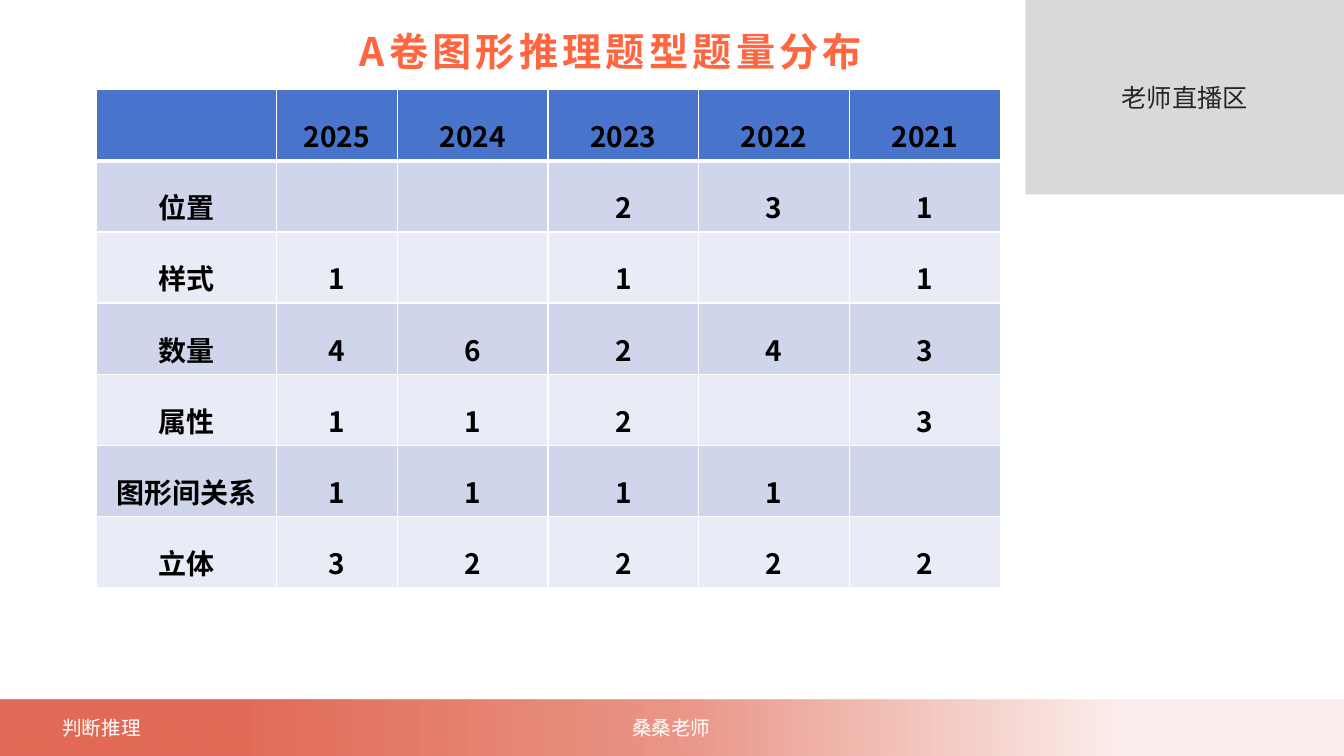
import pptx
import pptx.util
import pptx.dml.color
import pptx.enum.shapes
import pptx.enum.text
import pptx.oxml
import pptx.oxml.ns

Inches = pptx.util.Inches
Color = pptx.dml.color.RGBColor
Align = pptx.enum.text.PP_ALIGN
Anchor = pptx.enum.text.MSO_ANCHOR

FONT = "Noto Sans CJK SC"
NAMESPACE = pptx.oxml.ns.nsdecls("a")
ORANGE = Color(0xFF, 0x65, 0x3F)
CORAL = Color(0xDC, 0x50, 0x37)
GREY = Color(0xD9, 0xD9, 0xD9)
DARK = Color(0x26, 0x26, 0x26)
WHITE = Color(0xFF, 0xFF, 0xFF)
BLACK = Color(0, 0, 0)
HEADER_BLUE = Color(0x48, 0x74, 0xCB)
BAND_DARK = Color(0xCF, 0xD6, 0xEC)
BAND_LIGHT = Color(0xE9, 0xEB, 0xF6)


def write(frame, text, size, color, bold=False, align=Align.LEFT, line_spacing=None, letter_spacing=0):
    para = frame.paragraphs[0]
    para.alignment = align
    if line_spacing:
        para.line_spacing = line_spacing
    span = para.add_run()
    span.text = text
    span.font.size = pptx.util.Pt(size)
    span.font.bold = bold
    span.font.color.rgb = color
    span.font.name = FONT
    properties = span.font._element
    if letter_spacing:
        properties.set("spc", str(letter_spacing * 100))
    latin = properties.find(pptx.oxml.ns.qn("a:latin"))
    latin.addnext(pptx.oxml.parse_xml(f'<a:ea {NAMESPACE} typeface="{FONT}"/>'))


def set_borders(cell, **points):
    properties = cell._tc.get_or_add_tcPr()
    for index, (side, width) in enumerate(points.items()):
        properties.insert(index, pptx.oxml.parse_xml(
            f'<a:ln{side} {NAMESPACE} w="{pptx.util.Pt(width)}"><a:solidFill>'
            f'<a:srgbClr val="{WHITE}"/></a:solidFill></a:ln{side}>'))


deck = pptx.Presentation()
deck.slide_width, deck.slide_height = Inches(13.33), Inches(7.5)
page = deck.slides.add_slide(deck.slide_layouts[5])

# Live video area and footer band
panels = []
for left, top, width, height in [(10.17, 0, 3.16, 1.93), (0, 6.94, 13.33, 0.57)]:
    panel = page.shapes.add_shape(pptx.enum.shapes.MSO_SHAPE.RECTANGLE,
                                  Inches(left), Inches(top), Inches(width), Inches(height))
    panel.shadow.inherit = False
    panel.line.fill.background()
    panels.append(panel)
live_area, footer = panels
live_area.fill.solid()
live_area.fill.fore_color.rgb = GREY
live_area.text_frame.vertical_anchor = Anchor.MIDDLE
write(live_area.text_frame, "老师直播区", 18, DARK, align=Align.CENTER)

# Footer fades to the right: (position, opacity) in percent
stops = "".join(
    f'<a:gs pos="{position * 1000}"><a:srgbClr val="{CORAL}"><a:alpha val="{opacity * 1000}"/></a:srgbClr></a:gs>'
    for position, opacity in [(18, 84), (51, 59), (83, 10)])
gradient = pptx.oxml.parse_xml(
    f'<a:gradFill {NAMESPACE} rotWithShape="1"><a:gsLst>{stops}</a:gsLst>'
    '<a:lin ang="0" scaled="0"/></a:gradFill>')
footer._element.spPr.find(pptx.oxml.ns.qn("a:prstGeom")).addnext(gradient)

# Footer labels
for left, label in [(0.52, "判断推理"), (6.17, "桑桑老师")]:
    box = page.shapes.add_textbox(Inches(left), Inches(7.05), Inches(0.98), Inches(0.34))
    box.text_frame.word_wrap = False
    box.text_frame.auto_size = pptx.enum.text.MSO_AUTO_SIZE.SHAPE_TO_FIT_TEXT
    write(box.text_frame, label, 14, WHITE)

# Title
title = page.shapes.title
title.left, title.top, title.width, title.height = Inches(0.31), Inches(0.12), Inches(11.5), Inches(0.77)
title.text_frame.auto_size = pptx.enum.text.MSO_AUTO_SIZE.NONE
title.text_frame.vertical_anchor = Anchor.MIDDLE
write(title.text_frame, "A卷图形推理题型题量分布", 28, ORANGE, bold=True, align=Align.CENTER, letter_spacing=3)

# Question counts by type and year
counts = [
    ["", "2025", "2024", "2023", "2022", "2021"],
    ["位置", "", "", "2", "3", "1"],
    ["样式", "1", "", "1", "", "1"],
    ["数量", "4", "6", "2", "4", "3"],
    ["属性", "1", "1", "2", "", "3"],
    ["图形间关系", "1", "1", "1", "1", ""],
    ["立体", "3", "2", "2", "2", "2"],
]
table_width, table_height = 8.96, 4.94
column_widths = [1.78, 1.2] + [(table_width - 1.78 - 1.2) / 4] * 4
table = page.shapes.add_table(len(counts), len(column_widths), Inches(0.96), Inches(0.89),
                              Inches(table_width), Inches(table_height)).table
for column, width in zip(table.columns, column_widths):
    column.width = Inches(width)
for row, values in enumerate(counts):
    band = BAND_DARK if row % 2 else BAND_LIGHT
    for column, value in enumerate(values):
        cell = table.cell(row, column)
        cell.fill.solid()
        cell.fill.fore_color.rgb = band if row else HEADER_BLUE
        set_borders(cell, L=1, R=1, T=3 if row == 1 else 1, B=1 if row else 3)
        if value:
            write(cell.text_frame, value, 20, BLACK, bold=True, align=Align.CENTER, line_spacing=1.5)

deck.save("out.pptx")
